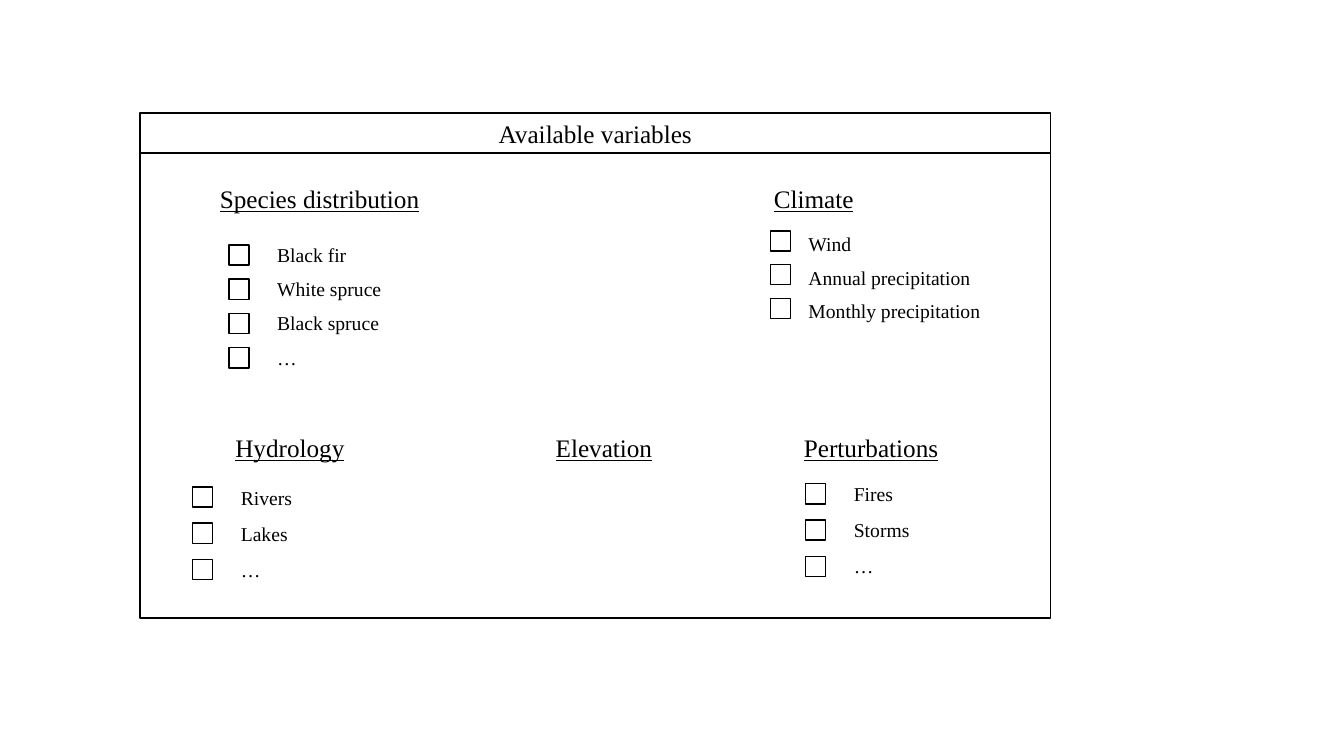
from pptx import Presentation
from pptx.dml.color import RGBColor
from pptx.enum.shapes import MSO_SHAPE
from pptx.enum.text import MSO_ANCHOR, MSO_AUTO_SIZE, PP_ALIGN
from pptx.util import Inches, Pt

FONT = "Times New Roman"
BLACK, WHITE = "000000", "FFFFFF"
PANEL = (1.39, 1.12, 9.03, 5.01)  # left, top, width, height
HEADER_H = 0.4
HEADING_H, ROW_H, ROW_W = 0.41, 0.34, 2.12
CHECK = 0.2

# Heading, its box (left, top, width), checkbox left and top,
# label offset from the checkbox (x, y), row pitch, labels
GROUPS = [
    ("Species distribution", (1.58, 1.77, 3.18), (2.27, 2.43), (0.38, -0.07), 0.34,
     ["Black fir", "White spruce", "Black spruce", "…"]),
    ("Climate", (6.48, 1.77, 3.18), (7.64, 2.29), (0.28, -0.04), 0.335,
     ["Wind", "Annual precipitation", "Monthly precipitation"]),
    ("Hydrology", (1.68, 4.24, 2.39), (1.91, 4.83), (0.38, -0.06), 0.36,
     ["Rivers", "Lakes", "…"]),
    ("Elevation", (4.4, 4.24, 3.18), (0, 0), (0, 0), 0, []),
    ("Perturbations", (7.05, 4.24, 3.18), (7.99, 4.8), (0.38, -0.07), 0.36,
     ["Fires", "Storms", "…"]),
]


def color(value):
    return RGBColor.from_string(value)


def outline(sp):
    """White fill with a thin black border."""
    sp.fill.solid()
    sp.fill.fore_color.rgb = color(WHITE)
    sp.line.color.rgb = color(BLACK)
    sp.line.width = Pt(1)


def write(sp, text, size, align=PP_ALIGN.LEFT, underline=False):
    tf = sp.text_frame
    tf.text = text
    tf.word_wrap = True
    p = tf.paragraphs[0]
    p.alignment = align
    font = p.runs[0].font
    font.name, font.size, font.underline = FONT, Pt(size), underline
    font.color.rgb = color(BLACK)


def add_rect(s, left, top, width, height):
    sp = s.shapes.add_shape(MSO_SHAPE.RECTANGLE, Inches(left), Inches(top),
                            Inches(width), Inches(height))
    sp.shadow.inherit = False
    outline(sp)


def add_text(s, box, text, size, **style):
    sp = s.shapes.add_textbox(*[Inches(v) for v in box])
    write(sp, text, size, **style)
    sp.text_frame.auto_size = MSO_AUTO_SIZE.SHAPE_TO_FIT_TEXT


def add_panel(s, box, title):
    """Title bar above an empty framed area."""
    left, top, width, height = box
    sp = s.shapes.title
    sp.left, sp.top = Inches(left), Inches(top)
    sp.width, sp.height = Inches(width), Inches(HEADER_H)
    outline(sp)
    write(sp, title, 18, align=PP_ALIGN.CENTER)
    sp.text_frame.auto_size = MSO_AUTO_SIZE.NONE
    sp.text_frame.vertical_anchor = MSO_ANCHOR.MIDDLE
    add_rect(s, left, top + HEADER_H, width, height - HEADER_H)


def add_group(s, heading, box, start, offset, pitch, labels):
    """Underlined heading with a column of checkboxes."""
    add_text(s, (*box, HEADING_H), heading, 18,
             align=PP_ALIGN.CENTER, underline=True)
    left, top = start
    dx, dy = offset
    for row, label in enumerate(labels):
        y = top + row * pitch
        add_rect(s, left, y, CHECK, CHECK)
        add_text(s, (left + dx, y + dy, ROW_W, ROW_H), label, 14)


def main():
    prs = Presentation()
    prs.slide_width, prs.slide_height = Inches(13.33), Inches(7.5)
    s = prs.slides.add_slide(prs.slide_layouts[5])
    add_panel(s, PANEL, "Available variables")
    for group in GROUPS:
        add_group(s, *group)
    prs.save("out.pptx")


if __name__ == "__main__":
    main()
